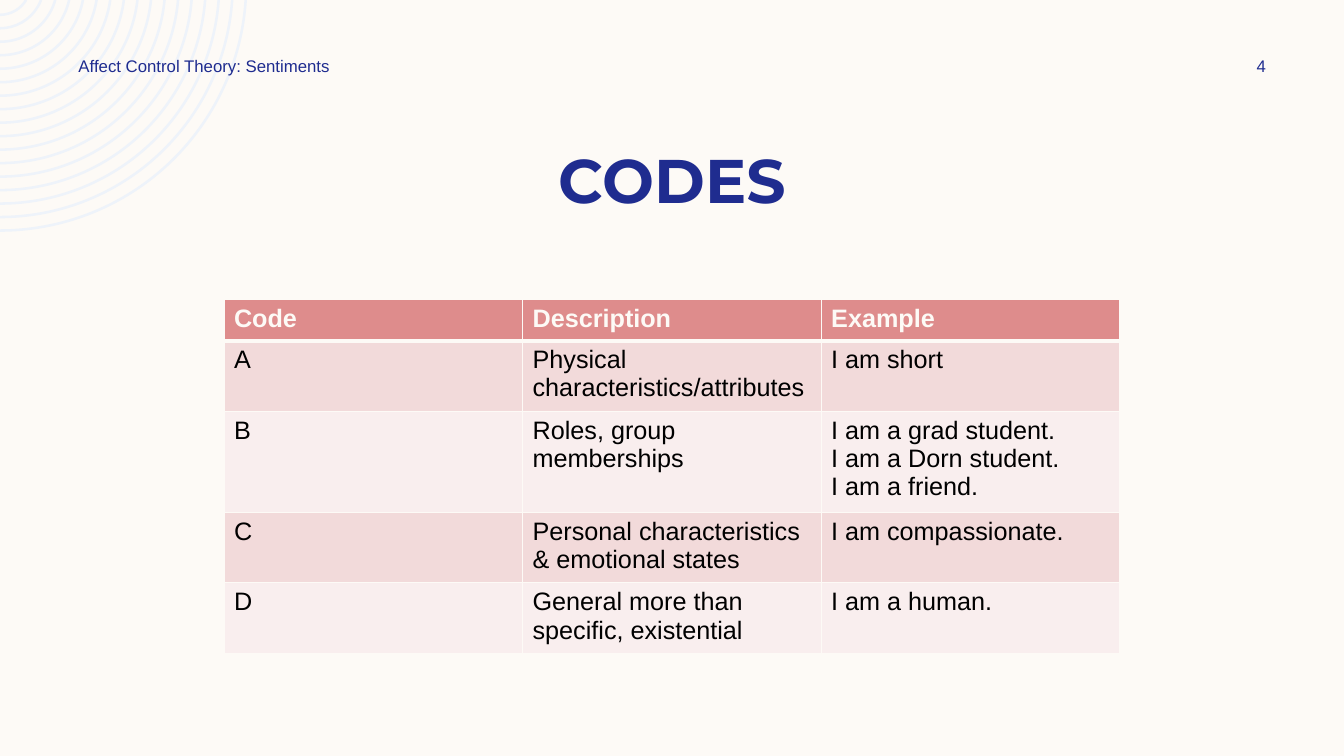
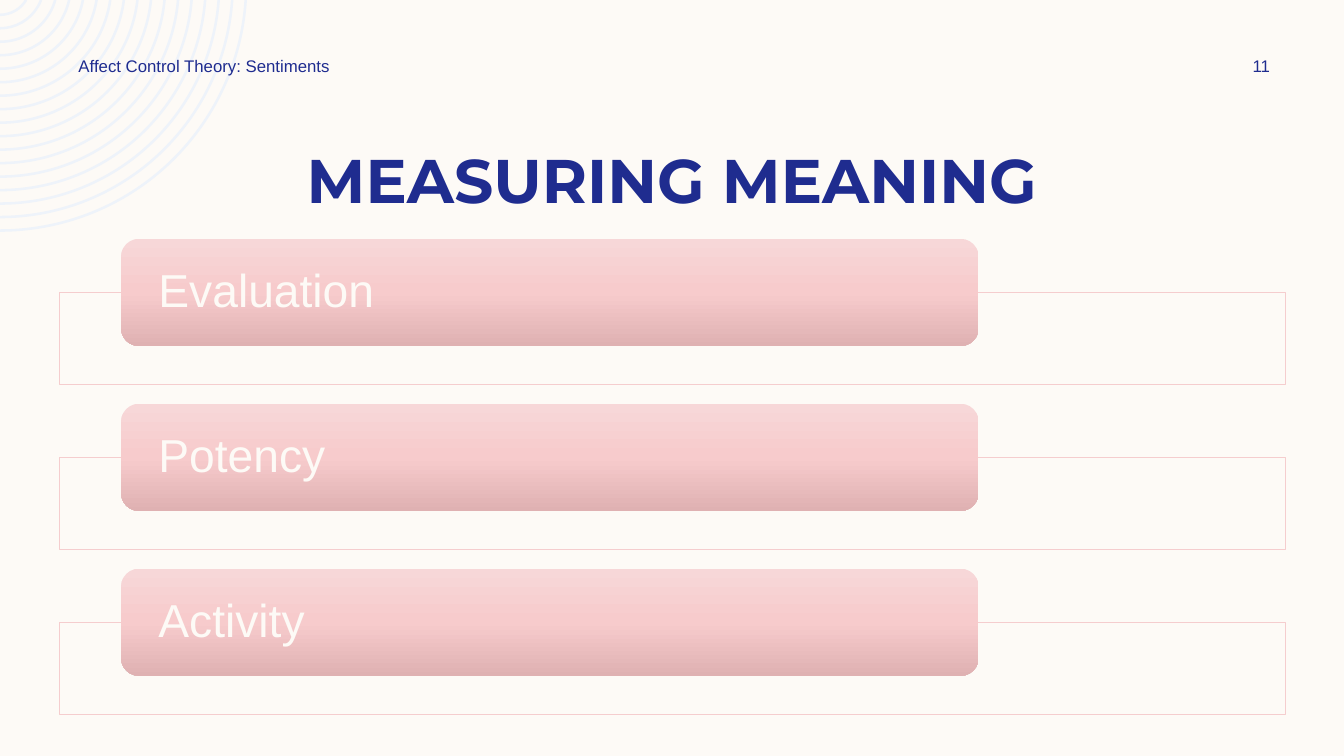
from copy import deepcopy
from math import asin, cos, degrees

from lxml.etree import SubElement
from pptx import Presentation
from pptx.dml.color import RGBColor
from pptx.enum.shapes import MSO_SHAPE as Shape
from pptx.enum.text import MSO_ANCHOR as Anchor, MSO_AUTO_SIZE as AutoSize, PP_ALIGN as Align
from pptx.oxml.ns import qn
from pptx.util import Pt

COLORS = {
    "paper": "FDFAF6", "navy": "1F2C8F", "ring": "EEF3FA", "black": "000000",
    "head": "DE8C8C", "band_dark": "F2DADA", "band_light": "F9EEEE",
    "frame": "F5CDCE", "pill_top": "F7D7D8", "pill_mid": "F7CBCC", "pill_end": "DFB1B2",
}
TITLE_FONT, BODY_FONT = "Montserrat", "Arial"


def color(name):
    return RGBColor.from_string(COLORS[name])


class SentimentDeck:
    """Holds the deck style and the current page."""

    def __init__(self):
        self.deck = Presentation()
        self.deck.slide_width, self.deck.slide_height = Pt(960), Pt(540)
        background = self.deck.slide_master.background.fill
        background.solid()
        background.fore_color.rgb = color("paper")
        self.page = None

    def add_page(self, title, number):
        self.page = self.deck.slides.add_slide(self.deck.slide_layouts[5])
        self.rings()
        self.title(title)
        self.text("Affect Control Theory: Sentiments", 49, 36, 252, 21.6)
        self.text(str(number), 862, 36, 78, 21.6, Align.CENTER)

    def style(self, frame, size, tint, font=BODY_FONT, bold=False, align=Align.LEFT):
        for para in frame.paragraphs:
            para.alignment = align
            for span in para.runs:
                span.font.name, span.font.size = font, Pt(size)
                span.font.bold = bold
                span.font.color.rgb = color(tint)

    def title(self, text):
        box = self.page.shapes.title
        box.left, box.top, box.width, box.height = Pt(60), Pt(96), Pt(840), Pt(60)
        frame = box.text_frame
        frame.text = text
        frame.auto_size = AutoSize.NONE
        frame.vertical_anchor = Anchor.BOTTOM
        frame.margin_bottom = Pt(1.5)
        self.style(frame, 44, "navy", TITLE_FONT, True, Align.CENTER)

    def text(self, text, left, top, width, height, align=Align.LEFT):
        box = self.page.shapes.add_textbox(Pt(left), Pt(top), Pt(width), Pt(height))
        frame = box.text_frame
        frame.word_wrap = True
        frame.vertical_anchor = Anchor.MIDDLE
        frame.text = text
        self.style(frame, 12, "navy", align=align)

    def rings(self, count=17, center_y=-11.2, first=21.8, gap=9.63):
        """Concentric arcs, cut off by the top and left page edges."""
        radii = [first + gap * index for index in range(count)]
        starts = [asin(-center_y / radius) for radius in radii]
        builder = None
        for radius, start in zip(radii, starts):
            corner = Pt(radius * cos(start)), 0
            if builder is None:
                builder = self.page.shapes.build_freeform(*corner)
            else:
                builder.move_to(*corner)
            builder.add_line_segments([(0, Pt(center_y + radius))], close=False)
        shape = builder.convert_to_shape()
        # Bend each straight segment into an arc
        segments = list(shape._element.iter(qn("a:lnTo")))
        for segment, radius, start in zip(segments, radii, starts):
            size, angle = str(Pt(radius)), degrees(start)
            parent = segment.getparent()
            arc = SubElement(parent, qn("a:arcTo"), wR=size, hR=size,
                             stAng=str(round(angle * 60000)),
                             swAng=str(round((90 - angle) * 60000)))
            parent.replace(segment, arc)
        shape.shadow.inherit = False
        shape.fill.background()
        shape.line.color.rgb = color("ring")
        shape.line.width = Pt(1.8)

    def borders(self, cell, **widths):
        props = cell._tc.get_or_add_tcPr()
        for side in "LRTB":
            line = SubElement(props, qn(f"a:ln{side}"), w=str(Pt(widths.get(side, 1))))
            fill = SubElement(line, qn("a:solidFill"))
            SubElement(fill, qn("a:srgbClr"), val=COLORS["paper"])

    def table(self, rows, left, top, column_width, heights):
        columns = len(rows[0])
        table = self.page.shapes.add_table(
            len(rows), columns, Pt(left), Pt(top),
            Pt(column_width * columns), Pt(sum(heights))).table
        for column in table.columns:
            column.width = Pt(column_width)
        for r, (values, height) in enumerate(zip(rows, heights)):
            table.rows[r].height = Pt(height)
            is_head = r == 0
            band = "head" if is_head else "band_dark" if r % 2 else "band_light"
            for c, value in enumerate(values):
                cell = table.cell(r, c)
                self.borders(cell, B=3 if is_head else 1, T=3 if r == 1 else 1)
                cell.fill.solid()
                cell.fill.fore_color.rgb = color(band)
                cell.text_frame.text = value
                self.style(cell.text_frame, 18, "paper" if is_head else "black", bold=is_head)

    def shape(self, kind, left, top, width, height):
        shape = self.page.shapes.add_shape(kind, Pt(left), Pt(top), Pt(width), Pt(height))
        shape.shadow.inherit = False
        return shape

    def frame(self, left, top, width, height):
        shape = self.shape(Shape.RECTANGLE, left, top, width, height)
        shape.fill.solid()
        shape.fill.fore_color.rgb = color("paper")
        tint = shape._element.spPr.find(qn("a:solidFill")).find(qn("a:srgbClr"))
        SubElement(tint, qn("a:alpha"), val="90000")
        shape.line.color.rgb = color("frame")
        shape.line.width = Pt(0.5)

    def pill(self, text, left, top, width, height):
        shape = self.shape(Shape.ROUNDED_RECTANGLE, left, top, width, height)
        shape.line.fill.background()
        # Three-stop gradient running downwards
        shape.fill.gradient()
        shape.fill.gradient_angle = 270
        stop_list = shape._element.spPr.find(qn("a:gradFill")).find(qn("a:gsLst"))
        stop_list.append(deepcopy(stop_list[0]))
        tints = ("pill_top", "pill_mid", "pill_end")
        for index, (stop, tint) in enumerate(zip(shape.fill.gradient_stops, tints)):
            stop.position = index / 2
            stop.color.rgb = color(tint)
        # Label
        frame = shape.text_frame
        frame.text = text
        frame.vertical_anchor = Anchor.MIDDLE
        frame.margin_left = frame.margin_right = Pt(23)
        frame.margin_top = frame.margin_bottom = 0
        frame.paragraphs[0].line_spacing = 0.9
        self.style(frame, 33, "paper")


def main():
    show = SentimentDeck()

    # Codes table
    show.add_page("CODES", 4)
    show.table([
        ("Code", "Description", "Example"),
        ("A", "Physical characteristics/attributes", "I am short"),
        ("B", "Roles, group memberships",
         "I am a grad student.\nI am a Dorn student.\nI am a friend."),
        ("C", "Personal characteristics & emotional states", "I am compassionate."),
        ("D", "General more than specific, existential", "I am a human."),
    ], 160, 214, 213.3, (29.5, 47.5, 67.5, 47.5, 47.5))

    # Three dimensions of meaning
    show.add_page("MEASURING MEANING", 11)
    for index, label in enumerate(("Evaluation", "Potency", "Activity")):
        top = 170.6 + 117.8 * index
        show.frame(42.5, top + 38.2, 875.5, 65.7)
        show.pill(label, 86.5, top, 612.5, 76.5)

    show.deck.save("out.pptx")


if __name__ == "__main__":
    main()
